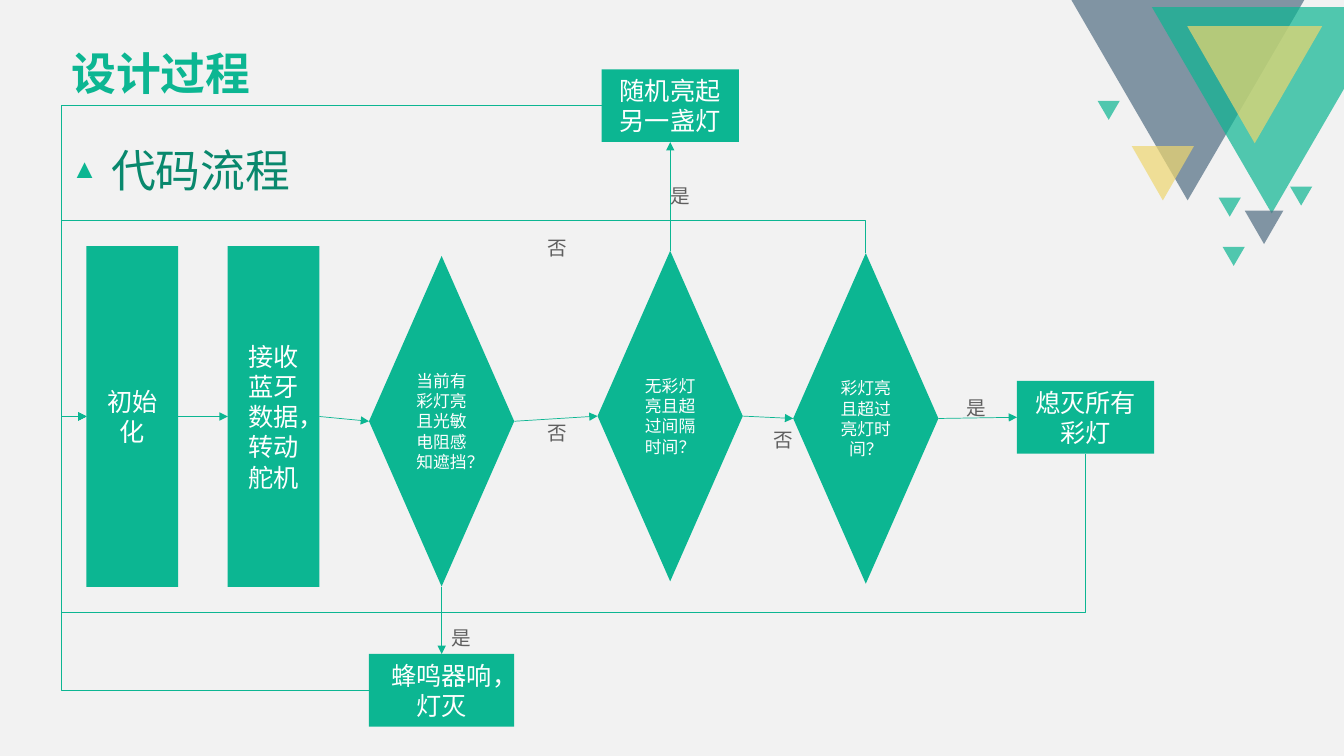
from lxml.etree import SubElement
from pptx import Presentation
from pptx.dml.color import RGBColor
from pptx.enum.shapes import MSO_CONNECTOR as Link, MSO_SHAPE as Preset
from pptx.enum.text import MSO_ANCHOR as Anchor, MSO_AUTO_SIZE as AutoSize, PP_ALIGN as Align
from pptx.oxml.ns import qn
from pptx.util import Cm, Pt

COLORS = {
    "page": "F2F2F2",
    "teal": "0CB692",
    "deep": "09886D",
    "slate": "516D82",
    "yellow": "EED66F",
    "white": "FFFFFF",
    "grey": "5F5F5F",
}
CJK_FONT = "Noto Sans CJK SC"
TOP, LEFT, BOTTOM, RIGHT = range(4)


def rgb(name):
    return RGBColor.from_string(COLORS[name])


def add_element(parent, tag, **attributes):
    return SubElement(parent, qn(tag), attributes)


def write_text(shape, text, size=18, color="white", font="Calibri", bold=False,
               align=None, anchor=Anchor.TOP, spacing=None, wrap=True):
    frame = shape.text_frame
    frame.word_wrap = wrap
    frame.vertical_anchor = anchor
    paragraph = frame.paragraphs[0]
    paragraph.alignment = align
    paragraph.line_spacing = spacing
    run = paragraph.add_run()
    run.text = text
    run.font.size = Pt(size)
    run.font.bold = bold
    run.font.color.rgb = rgb(color)
    run.font.name = font
    add_element(run.font._element, "a:ea", typeface=font)
    return paragraph


def fill_shape(shape, color, alpha=None):
    shape.shadow.inherit = False
    shape.fill.solid()
    shape.fill.fore_color.rgb = rgb(color)
    shape.line.fill.background()
    if alpha:
        tint = shape._element.spPr.find(qn("a:solidFill"))[0]
        add_element(tint, "a:alpha", val=str(alpha * 1000))


def style_link(connector, arrow_end):
    connector.line.width = Pt(0.5)
    connector.line.color.rgb = rgb("teal")
    properties = connector._element.spPr
    add_element(properties.find(qn("a:ln")), arrow_end, type="triangle")
    add_element(properties, "a:effectLst")


def draw_triangles(slide, left, top):
    outlines = [
        ("slate", [(0, 0), (5.87, 0), (2.93, 5.05)]),
        ("teal", [(2.03, 0.18), (6.87, 0.18), (6.87, 2.24), (5.05, 5.38)]),
    ]
    for color, points in outlines:
        corners = [(Cm(left + x), Cm(top + y)) for x, y in points]
        builder = slide.shapes.build_freeform(*corners[0], scale=1.0)
        builder.add_line_segments(corners[1:], close=True)
        fill_shape(builder.convert_to_shape(), color, alpha=70)

    small = (0.56, 0.48)
    triangles = [
        ("yellow", 2.92, 0.66, 3.4, 2.95),
        ("yellow", 1.52, 3.68, 1.57, 1.37),
        ("teal", 5.51, 4.7, *small),
        ("teal", 3.81, 6.22, *small),
        ("teal", 3.71, 4.98, *small),
        ("slate", 4.37, 5.31, 0.97, 0.84),
        ("teal", 0.66, 2.54, *small),
    ]
    for color, x, y, width, height in triangles:
        shape = slide.shapes.add_shape(Preset.ISOSCELES_TRIANGLE, Cm(left + x), Cm(top + y),
                                       Cm(width), Cm(height))
        shape.rotation = 180
        fill_shape(shape, color, alpha=70)


def draw_heading(slide, left, top):
    title = slide.shapes.add_textbox(Cm(left), Cm(top), Cm(25.8), Cm(2.2))
    write_text(title, "设计过程", size=32, color="teal", font=CJK_FONT, bold=True,
               anchor=Anchor.BOTTOM, spacing=0.9)

    subtitle = slide.shapes.add_textbox(Cm(left), Cm(top + 2.87), Cm(28.27), Cm(13.95))
    paragraph = write_text(subtitle, "代码流程", size=32, color="deep", font=CJK_FONT,
                           align=Align.JUSTIFY, spacing=1.1)
    properties = paragraph._p.get_or_add_pPr()
    properties.set("marL", str(Cm(1)))
    properties.set("indent", str(-Cm(1)))
    bullet_color = add_element(properties, "a:buClr")
    add_element(bullet_color, "a:srgbClr", val=COLORS["teal"])
    add_element(properties, "a:buSzPct", val="60000")
    add_element(properties, "a:buFont", typeface="Arial")
    add_element(properties, "a:buChar", char="▲")


def draw_flow(slide, left, top):
    def add_step(preset, text, x, y, width, height, size=18):
        shape = slide.shapes.add_shape(preset, Cm(left + x), Cm(top + y), Cm(width), Cm(height))
        fill_shape(shape, "teal")
        write_text(shape, text, size=size, align=Align.CENTER, anchor=Anchor.MIDDLE)
        return shape

    def add_arrow(source, source_side, target, target_side):
        connector = slide.shapes.add_connector(Link.STRAIGHT, 0, 0, 0, 0)
        connector.begin_connect(source, source_side)
        connector.end_connect(target, target_side)
        style_link(connector, "a:tailEnd")

    def add_return(x, y, lane=None):
        start_x, start_y = start.left, start.top + start.height // 2
        connector = slide.shapes.add_connector(Link.ELBOW, start_x, start_y, x, y)
        style_link(connector, "a:headEnd")
        bends = [(Cm(left) - start_x) / (x - start_x)]
        geometry = connector._element.spPr.find(qn("a:prstGeom"))
        if lane is not None:
            geometry.set("prst", "bentConnector4")
            bends.append((Cm(top + lane) - start_y) / (y - start_y))
        guides = geometry.find(qn("a:avLst"))
        for number, bend in enumerate(bends, 1):
            add_element(guides, "a:gd", name=f"adj{number}", fmla=f"val {round(bend * 100000)}")

    bar, diamond, result = (2.31, 8.59), (3.66, 8.33), (3.46, 1.83)
    start = add_step(Preset.RECTANGLE, "初始化", 0.63, 4.45, *bar)
    receive = add_step(Preset.RECTANGLE, "接收蓝牙数据，转动舵机", 4.19, 4.45, *bar)
    covered = add_step(Preset.DIAMOND, "当前有彩灯亮且光敏电阻感知遮挡？", 7.75, 4.7, *diamond, size=12)
    idle = add_step(Preset.DIAMOND, "无彩灯亮且超过间隔时间？", 13.51, 4.57, *diamond, size=12)
    expired = add_step(Preset.DIAMOND, "彩灯亮且超过亮灯时间？", 18.44, 4.63, *diamond, size=12)
    buzzer = add_step(Preset.RECTANGLE, "蜂鸣器响，灯灭", 7.75, 14.73, 3.66, 1.83)
    next_light = add_step(Preset.RECTANGLE, "随机亮起另一盏灯", 13.61, 0, *result)
    lights_off = add_step(Preset.RECTANGLE, "熄灭所有彩灯", 24.08, 7.85, *result)

    row = [start, receive, covered, idle, expired, lights_off]
    for source, target in zip(row, row[1:]):
        add_arrow(source, RIGHT, target, LEFT)
    add_arrow(covered, BOTTOM, buzzer, TOP)
    add_arrow(idle, TOP, next_light, BOTTOM)

    for shape in (buzzer, next_light):
        add_return(shape.left, shape.top + shape.height // 2)
    add_return(lights_off.left + lights_off.width // 2, lights_off.top + lights_off.height, lane=13.67)
    add_return(expired.left + expired.width // 2, expired.top, lane=3.81)

    labels = [
        ("是", 9.58, 13.72), ("否", 11.99, 8.56), ("否", 17.7, 8.74),
        ("是", 15.11, 2.59), ("是", 22.55, 7.93), ("否", 11.99, 3.89),
    ]
    for text, x, y in labels:
        label = slide.shapes.add_textbox(Cm(left + x), Cm(top + y), Cm(1.02), Cm(0.97))
        write_text(label, text, size=14, color="grey", font="Arial", spacing=1.3, wrap=False)
        label.text_frame.auto_size = AutoSize.SHAPE_TO_FIT_TEXT


def main():
    presentation = Presentation()
    presentation.slide_width = Cm(33.87)
    presentation.slide_height = Cm(19.05)
    slide = presentation.slides.add_slide(presentation.slide_layouts[6])
    slide.background.fill.solid()
    slide.background.fill.fore_color.rgb = rgb("page")
    draw_triangles(slide, 27, 0)
    draw_heading(slide, 1.55, 0.46)
    draw_flow(slide, 1.55, 1.75)
    presentation.save("out.pptx")


if __name__ == "__main__":
    main()
